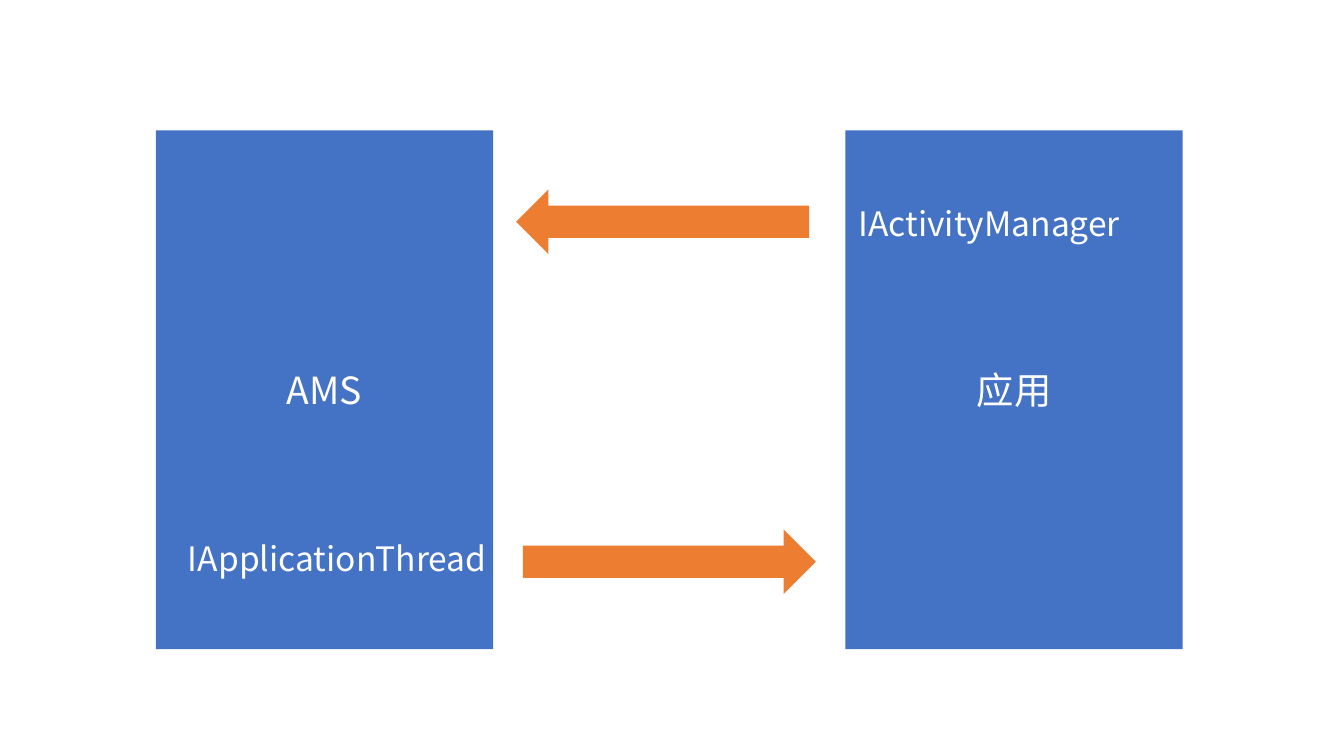
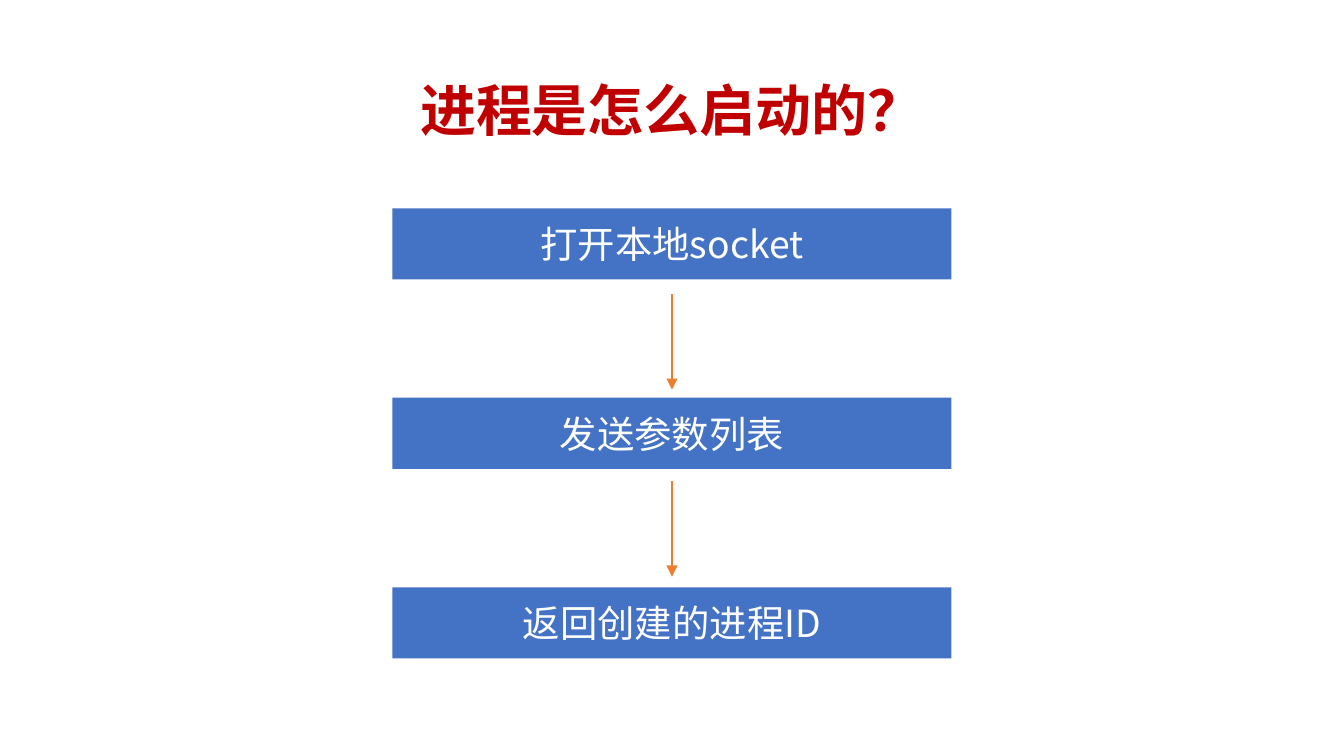
from lxml import etree
from pptx import Presentation
from pptx.dml.color import RGBColor
from pptx.enum.shapes import MSO_CONNECTOR, MSO_SHAPE
from pptx.enum.text import MSO_ANCHOR, MSO_AUTO_SIZE, PP_ALIGN
from pptx.oxml.ns import qn
from pptx.util import Inches, Pt

RECTANGLE, RIGHT_ARROW = MSO_SHAPE.RECTANGLE, MSO_SHAPE.RIGHT_ARROW
STRAIGHT = MSO_CONNECTOR.STRAIGHT
LEFT, CENTER = PP_ALIGN.LEFT, PP_ALIGN.CENTER
TOP, MIDDLE = MSO_ANCHOR.TOP, MSO_ANCHOR.MIDDLE
FIT_SHAPE = MSO_AUTO_SIZE.SHAPE_TO_FIT_TEXT

FONT = "Noto Sans CJK SC"
BLUE, ORANGE, RED, WHITE = "4472C4", "ED7D31", "C00000", "FFFFFF"

# Slide 1: the two processes (name, left), their interfaces and the calls
PROCESSES = [("AMS", 1.16), ("应用", 6.29)]
PROCESS_TOP, PROCESS_WIDTH, PROCESS_HEIGHT = 0.97, 2.51, 3.86
INTERFACES = [  # text, left, top, width, wraps
    ("IActivityManager", 6.29, 1.46, 2.34, True),
    ("IApplicationThread", 1.3, 3.95, 2.49, False),
]
CALLS = [(3.89, 3.94, 0), (3.84, 1.41, 180)]  # left, top, rotation
CALL_WIDTH, CALL_HEIGHT = 2.18, 0.48

# Slide 2: the steps of starting a process
TITLE = "进程是怎么启动的？"
STEPS = ["打开本地socket", "发送参数列表", "返回创建的进程ID"]
STEP_LEFT, STEP_TOP, STEP_WIDTH, STEP_HEIGHT = 2.92, 1.55, 4.16, 0.53
STEP_PITCH = 1.41
ARROW_TOP, ARROW_LENGTH, ARROW_PITCH = 2.19, 0.71, 1.39


def color(hex_string):
    return RGBColor.from_string(hex_string)


def write(shape, text, size, hex_color=WHITE, align=CENTER, anchor=MIDDLE,
          bold=False, wrap=True):
    frame = shape.text_frame
    frame.text = text
    frame.word_wrap = wrap
    frame.vertical_anchor = anchor
    paragraph = frame.paragraphs[0]
    paragraph.alignment = align
    for run in paragraph.runs:
        font = run.font
        font.size, font.bold, font.name = Pt(size), bold, FONT
        font.color.rgb = color(hex_color)
        # Chinese characters take the East Asian typeface
        etree.SubElement(run._r.get_or_add_rPr(), qn("a:ea"), typeface=FONT)
    return paragraph


def add_filled(slide, preset, hex_color, left, top, width, height):
    shape = slide.shapes.add_shape(
        preset, Inches(left), Inches(top), Inches(width), Inches(height))
    shape.shadow.inherit = False
    shape.fill.solid()
    shape.fill.fore_color.rgb = color(hex_color)
    shape.line.fill.background()
    return shape


def add_box(slide, text, left, top, width, height):
    write(add_filled(slide, RECTANGLE, BLUE, left, top, width, height), text, 20)


def add_text(slide, left, top, width, height):
    return slide.shapes.add_textbox(
        Inches(left), Inches(top), Inches(width), Inches(height))


def add_down_arrow(slide, x, top, length):
    arrow = slide.shapes.add_connector(
        STRAIGHT, Inches(x), Inches(top), Inches(x), Inches(top + length))
    arrow.line.color.rgb = color(ORANGE)
    arrow.line.width = Pt(1.5)
    etree.SubElement(arrow.line._get_or_add_ln(), qn("a:tailEnd"), type="triangle")
    etree.SubElement(arrow._element.spPr, qn("a:effectLst"))


def build_interfaces(slide):
    for name, left in PROCESSES:
        add_box(slide, name, left, PROCESS_TOP, PROCESS_WIDTH, PROCESS_HEIGHT)
    for name, left, top, width, wrap in INTERFACES:
        label = add_text(slide, left, top, width, 0.4)
        write(label, name, 18, align=LEFT, anchor=TOP, wrap=wrap)
        label.text_frame.auto_size = FIT_SHAPE
    for left, top, rotation in CALLS:
        call = add_filled(slide, RIGHT_ARROW, ORANGE, left, top, CALL_WIDTH, CALL_HEIGHT)
        call.rotation = rotation


def build_process_start(slide):
    title = add_text(slide, 0.69, 0.3, 8.62, 1.09)
    write(title, TITLE, 30, RED, bold=True).line_spacing = 0.9
    for index, step in enumerate(STEPS):
        add_box(slide, step, STEP_LEFT, STEP_TOP + index * STEP_PITCH,
                STEP_WIDTH, STEP_HEIGHT)
    for index in range(len(STEPS) - 1):
        add_down_arrow(slide, STEP_LEFT + STEP_WIDTH / 2,
                       ARROW_TOP + index * ARROW_PITCH, ARROW_LENGTH)


def main():
    presentation = Presentation()
    presentation.slide_width = Inches(10)
    presentation.slide_height = presentation.slide_width * 9 // 16
    blank = presentation.slide_layouts[6]
    for build in (build_interfaces, build_process_start):
        build(presentation.slides.add_slide(blank))
    presentation.save("out.pptx")


if __name__ == "__main__":
    main()
